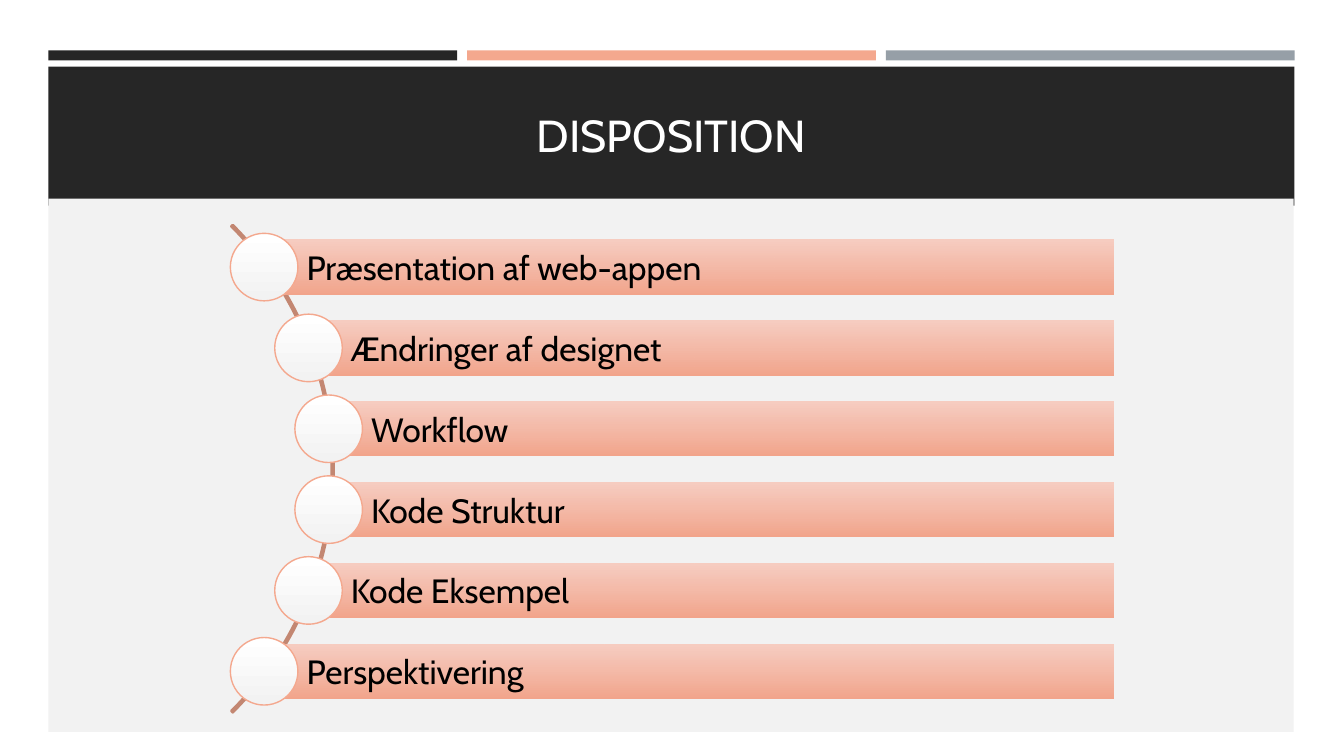
from lxml.etree import SubElement
from pptx import Presentation
from pptx.dml.color import RGBColor
from pptx.enum.shapes import MSO_SHAPE as Geo
from pptx.enum.text import MSO_ANCHOR as Anchor, PP_ALIGN as Align
from pptx.oxml.ns import qn
from pptx.util import Inches, Pt

FONT = "Cabin"
DARK, PEACH, GREY, PALE = "262626", "F4A88E", "969FA7", "F2F2F2"
TOPICS = [
    ("Præsentation af web-appen", 2.62),
    ("Ændringer af designet", 3.06),
    ("Workflow", 3.26),
    ("Kode Struktur", 3.26),
    ("Kode Eksempel", 3.06),
    ("Perspektivering", 2.62),
]


def color(code):
    """Turn a hex string into a colour."""
    return RGBColor.from_string(code)


def shape(slide, geo, box, fill=None, line=None, width=1):
    """Add a flat preset shape with an optional fill and outline."""
    item = slide.shapes.add_shape(geo, *map(Inches, box))
    item.shadow.inherit = False
    if fill:
        item.fill.solid()
        item.fill.fore_color.rgb = color(fill)
    else:
        item.fill.background()
    if line:
        item.line.color.rgb = color(line)
        item.line.width = Pt(width)
    else:
        item.line.fill.background()
    return item


def shade(item, top, base, alpha=100):
    """Fill a shape with a vertical gradient whose top may be translucent."""
    item.fill.gradient()
    item.fill.gradient_angle = 270
    stops = item.fill.gradient_stops
    for stop, code in zip(stops, (top, base)):
        stop.color.rgb = color(code)
    if alpha < 100:
        tint = item.element.spPr.find(".//" + qn("a:srgbClr"))
        SubElement(tint, qn("a:alpha"), val=str(alpha * 1000))


def style(para, size, code):
    """Set the font of a paragraph."""
    para.font.name = FONT
    para.font.size = Pt(size)
    para.font.color.rgb = color(code)


def header(slide, box, text):
    """Place the three stripes, the dark band and the title."""
    left, top, width, height = box
    gap = 0.1
    part = (width - 2 * gap) / 3
    for i, code in enumerate((DARK, PEACH, GREY)):
        shape(slide, Geo.RECTANGLE, (left + i * (part + gap), top, part, 0.1), code)
    band = shape(slide, Geo.RECTANGLE, (left, top + 0.16, width, height - 0.16), DARK)
    title = slide.shapes.title
    band.element.addnext(title.element)
    title.left, title.top = Inches(left + 0.15), Inches(top + 0.3)
    title.width, title.height = Inches(width - 0.3), Inches(1.08)
    frame = title.text_frame
    frame.text = text
    frame.vertical_anchor = Anchor.MIDDLE
    frame.paragraphs[0].alignment = Align.CENTER
    style(frame.paragraphs[0], 32, "FFFFFF")


def topic(slide, box, text):
    """Place one labelled bar with a disc on its left end."""
    left, top, width, height = box
    bar = shape(slide, Geo.RECTANGLE, box)
    shade(bar, "F8C9BC", "F3A58C", 90)
    frame = bar.text_frame
    frame.word_wrap = True
    frame.vertical_anchor = Anchor.MIDDLE
    frame.margin_left = Inches(0.42)
    frame.margin_right = frame.margin_top = frame.margin_bottom = Inches(0.07)
    frame.text = text
    frame.paragraphs[0].alignment = Align.LEFT
    style(frame.paragraphs[0], 24, "000000")
    size = 0.67
    spot = (left - size / 2, top + (height - size) / 2, size, size)
    disc = shape(slide, Geo.OVAL, spot, line=PEACH)
    shade(disc, "FFFFFF", PALE)


def agenda(slide, box):
    """Place the pale panel, the curve and the topics along it."""
    left, top, width, height = box
    shape(slide, Geo.RECTANGLE, box, PALE)
    curve = shape(slide, Geo.BLOCK_ARC, (left - 4.01, top - 0.74, 6.84, 6.84),
                  line="C38772", width=1.75)
    for i, value in enumerate((189, 27, 0.003)):
        curve.adjustments[i] = value
    right = left + width - 1.79
    for i, (text, start) in enumerate(TOPICS):
        topic(slide, (start, top + 0.41 + i * 0.802, right - start, 0.54), text)


def main():
    """Build and save the slide."""
    deck = Presentation()
    deck.slide_width, deck.slide_height = Inches(13.33), Inches(7.5)
    slide = deck.slides.add_slide(deck.slide_layouts[5])
    header(slide, (0.48, 0.5, 12.36, 1.54), "DISPOSITION")
    agenda(slide, (0.48, 1.97, 12.35, 5.29))
    deck.save("out.pptx")


if __name__ == "__main__":
    main()
